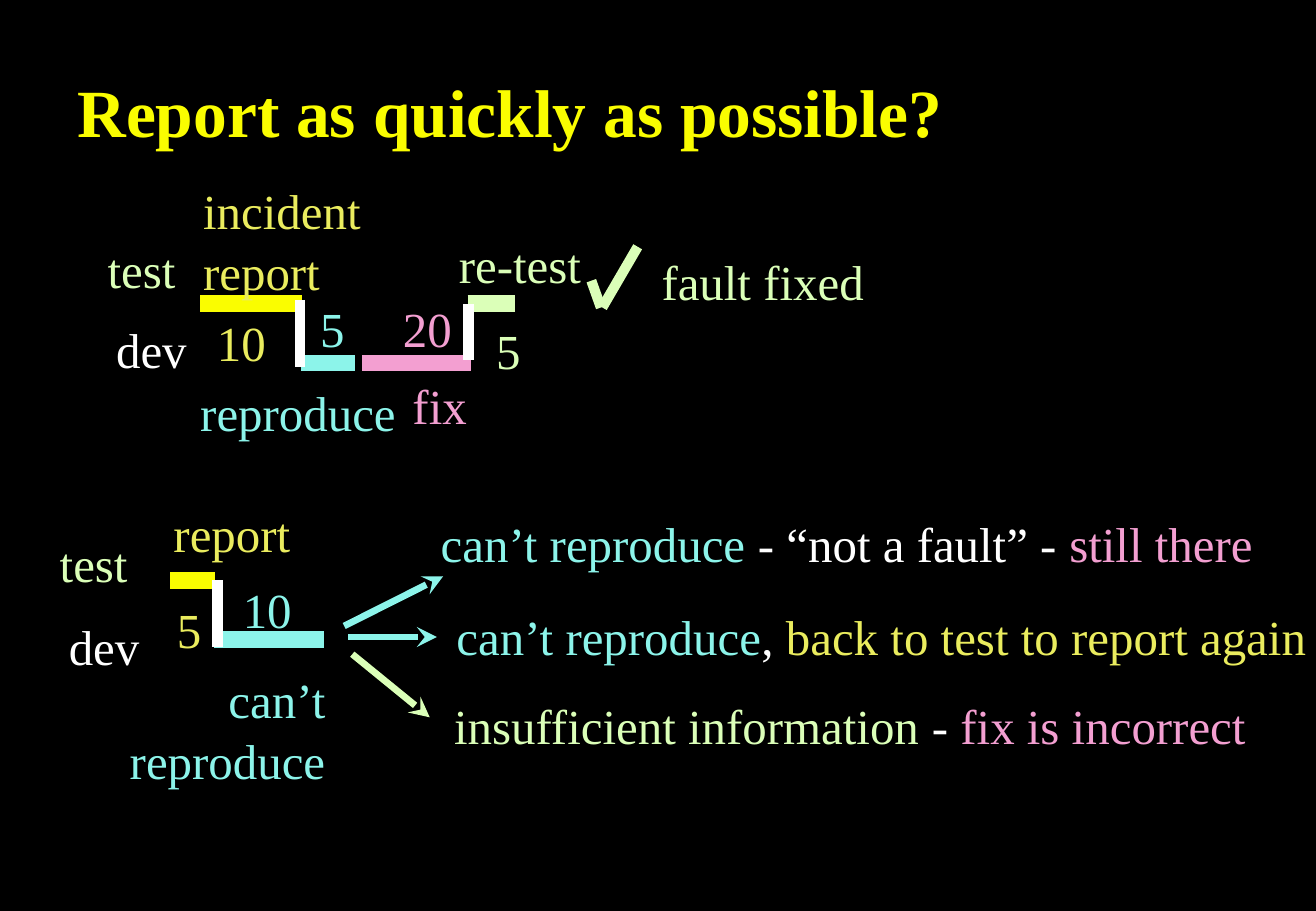
from dataclasses import dataclass

from lxml import etree
from pptx import Presentation
from pptx.dml.color import RGBColor
from pptx.enum.shapes import MSO_CONNECTOR
from pptx.enum.text import MSO_ANCHOR, MSO_AUTO_SIZE, PP_ALIGN
from pptx.oxml.ns import qn
from pptx.util import Cm, Pt

STRAIGHT = MSO_CONNECTOR.STRAIGHT
TOP, MIDDLE = MSO_ANCHOR.TOP, MSO_ANCHOR.MIDDLE
NO_FIT, FIT_SHAPE = MSO_AUTO_SIZE.NONE, MSO_AUTO_SIZE.SHAPE_TO_FIT_TEXT
LEFT, RIGHT = PP_ALIGN.LEFT, PP_ALIGN.RIGHT


@dataclass(frozen=True)
class Theme:
    font: str = "Times New Roman"
    background: str = "000000"
    bright: str = "FAFD00"
    yellow: str = "EAEC5E"
    green: str = "DBFFB8"
    cyan: str = "8CF4EA"
    pink: str = "F39FD1"
    white: str = "FFFFFF"
    title_size: int = 40
    body_size: int = 29
    bar: int = 10
    step: int = 6
    arrow: int = 4
    line_height: float = 1.22
    line_spacing: float = 1.04


T = Theme()


def write_text(tf, lines, size=T.body_size, bold=False, align=LEFT,
               anchor=TOP, wrap=False, fit=FIT_SHAPE, spacing=T.line_spacing):
    tf.word_wrap = wrap
    tf.auto_size = fit
    tf.vertical_anchor = anchor
    tf.margin_left = tf.margin_right = Cm(0.25)
    tf.margin_top = tf.margin_bottom = Cm(0.13)
    for i, runs in enumerate(lines):
        p = tf.add_paragraph() if i else tf.paragraphs[0]
        p.alignment = align
        p.line_spacing = spacing
        p.space_before = Pt(0)
        for text, color in runs:
            r = p.add_run()
            r.text = text
            r.font.name = T.font
            r.font.size = Pt(size)
            r.font.bold = bold
            r.font.color.rgb = RGBColor.from_string(color)


def add_label(s, box, x, y, w, lines, **fmt):
    left, top = box
    height = 0.28 + T.line_height * len(lines)
    sp = s.shapes.add_textbox(Cm(left + x), Cm(top + y), Cm(w), Cm(height))
    write_text(sp.text_frame, lines, **fmt)


def add_line(s, box, start, end, color, width, arrow=False):
    left, top = box
    (x1, y1), (x2, y2) = start, end
    c = s.shapes.add_connector(STRAIGHT, Cm(left + x1), Cm(top + y1),
                               Cm(left + x2), Cm(top + y2))
    c.line.color.rgb = RGBColor.from_string(color)
    c.line.width = Pt(width)
    if arrow:
        ln = c.line._get_or_add_ln()
        etree.SubElement(ln, qn("a:tailEnd"), type="stealth", w="med", len="med")
    sp_pr = c._element.spPr
    etree.SubElement(sp_pr, qn("a:effectLst"))


def add_title(s, box, text):
    sp = s.shapes.title
    sp.left, sp.top, sp.width, sp.height = (Cm(v) for v in box)
    write_text(sp.text_frame, [[(text, T.bright)]], size=T.title_size, bold=True,
               anchor=MIDDLE, wrap=True, fit=NO_FIT, spacing=1.0)


def add_flow(s, box, bars, steps, labels):
    for x1, x2, y, color in bars:
        add_line(s, box, (x1, y), (x2, y), color, T.bar)
    for start, end, color in steps:
        add_line(s, box, start, end, color, T.step)
    for text, x, y, w, color, align in labels:
        lines = [[(line, color)] for line in text.split("\n")]
        add_label(s, box, x, y, w, lines, align=align)


def add_fixed_flow(s, box):
    test_y, dev_y = 2.75, 3.99
    bars = [
        (2.19, 4.32, test_y, T.bright),
        (4.3, 5.42, dev_y, T.cyan),
        (5.57, 7.86, dev_y, T.pink),
        (7.78, 8.77, test_y, T.green),
    ]
    steps = [
        ((4.27, 2.67), (4.27, 4.07), T.white),
        ((7.8, 3.92), (7.8, test_y), T.white),
        ((10.37, 2.27), (10.57, 2.83), T.green),
        ((10.6, 2.83), (11.34, 1.56), T.green),
    ]
    labels = [
        ("test", 0, 1.23, 1.96, T.green, LEFT),
        ("dev", 0.18, 2.9, 2, T.white, LEFT),
        ("incident\nreport", 2, 0, 3.84, T.yellow, LEFT),
        ("10", 2.29, 2.75, 1.55, T.yellow, LEFT),
        ("5", 4.45, 2.47, 1.04, T.cyan, LEFT),
        ("reproduce", 1.94, 4.22, 4.62, T.cyan, LEFT),
        ("20", 6.18, 2.47, 1.55, T.pink, LEFT),
        ("fix", 6.38, 4.07, 1.68, T.pink, LEFT),
        ("re-test", 7.35, 1.12, 3.07, T.green, LEFT),
        ("5", 8.13, 2.93, 1.04, T.green, LEFT),
        ("fault fixed", 11.59, 1.48, 4.78, T.green, LEFT),
    ]
    add_flow(s, box, bars, steps, labels)


def add_failed_flow(s, box):
    test_y, dev_y = 1.77, 3.01
    bars = [(2.56, 3.5, test_y, T.bright), (3.47, 5.78, dev_y, T.cyan)]
    steps = [((3.55, test_y), (3.55, 3.16), T.white)]
    labels = [
        ("test", 0, 0.62, 1.96, T.green, LEFT),
        ("dev", 0.19, 2.35, 2, T.white, LEFT),
        ("report", 2.38, 0, 2.97, T.yellow, LEFT),
        ("5", 2.45, 2, 1.04, T.yellow, LEFT),
        ("10", 3.83, 1.59, 1.55, T.cyan, LEFT),
        ("can’t\nreproduce", 1.44, 3.47, 4.62, T.cyan, RIGHT),
    ]
    add_flow(s, box, bars, steps, labels)


def add_outcomes(s, box):
    outcomes = [
        ((0, 2.53), (2.07, 1.49), T.cyan, (1.77, 0, 17.53),
         [("can’t reproduce", T.cyan), (" - “not a fault” - ", T.white),
          ("still there", T.pink)]),
        ((0.09, 2.76), (1.94, 2.76), T.cyan, (2.1, 1.95, 18.34),
         [("can’t reproduce", T.cyan), (", ", T.white),
          ("back to test to report again", T.yellow)]),
        ((0.17, 3.12), (1.79, 4.44), T.green, (2.05, 3.8, 17.12),
         [("insufficient information", T.green), (" - ", T.white),
          ("fix is incorrect", T.pink)]),
    ]
    for start, end, color, place, runs in outcomes:
        add_line(s, box, start, end, color, T.arrow, arrow=True)
        add_label(s, box, *place, [runs])


def main():
    prs = Presentation()
    prs.slide_width, prs.slide_height = Cm(27.53), Cm(19.05)
    s = prs.slides.add_slide(prs.slide_layouts[5])
    s.background.fill.solid()
    s.background.fill.fore_color.rgb = RGBColor.from_string(T.background)
    add_title(s, (1.37, 1.47, 23.39, 1.7), "Report as quickly as possible?")
    add_failed_flow(s, (1, 10.36))
    add_outcomes(s, (7.2, 10.56))
    add_fixed_flow(s, (2, 3.6))
    prs.save("out.pptx")


if __name__ == "__main__":
    main()
